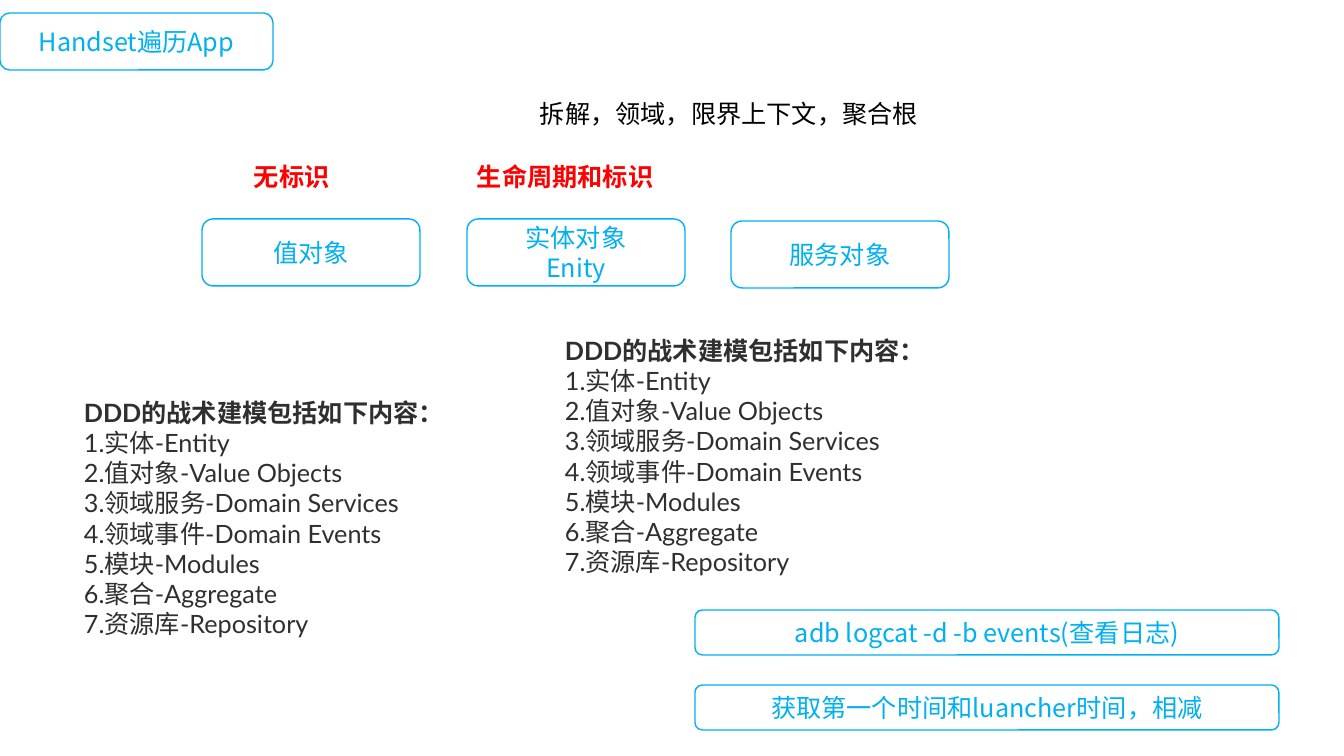
from dataclasses import dataclass
import pptx
import pptx.util
import pptx.dml.color
import pptx.enum.shapes
import pptx.enum.text
import pptx.oxml.ns
import lxml.etree

SCALE = 914400 / 100.8
Align = pptx.enum.text.PP_ALIGN
Anchor = pptx.enum.text.MSO_ANCHOR
Fit = pptx.enum.text.MSO_AUTO_SIZE


@dataclass(frozen=True)
class Theme:
    blue: str = "00B0F0"
    white: str = "FFFFFF"
    red: str = "FF0000"
    black: str = "000000"
    gray: str = "2F2F2F"
    size: int = 18
    line: int = 1
    box: str = "Noto Sans CJK SC"
    label: str = "DejaVu Sans"
    list: str = "Lato"


@dataclass(frozen=True)
class Box:
    left: int
    top: int
    width: int
    height: int
    lines: tuple[str, ...]


@dataclass(frozen=True)
class Label:
    left: int
    top: int
    width: int
    text: str
    color: str
    bold: bool


@dataclass(frozen=True)
class Place:
    left: int
    top: int


THEME = Theme()
BOXES = (
    Box(0, 13, 273, 57, ("Handset遍历App",)),
    Box(202, 219, 218, 67, ("值对象",)),
    Box(467, 219, 218, 67, ("实体对象", "Enity")),
    Box(731, 221, 218, 67, ("服务对象",)),
    Box(695, 610, 584, 45, ("adb logcat -d -b events(查看日志)",)),
    Box(695, 685, 584, 45, ("获取第一个时间和luancher时间，相减",)),
)
LABELS = (
    Label(467, 156, 199, "生命周期和标识", THEME.red, True),
    Label(244, 156, 97, "无标识", THEME.red, True),
    Label(530, 93, 402, "拆解，领域，限界上下文，聚合根", THEME.black, False),
)
TITLE = "DDD的战术建模包括如下内容："
ITEMS = (
    "实体-Entity",
    "值对象-Value Objects",
    "领域服务-Domain Services",
    "领域事件-Domain Events",
    "模块-Modules",
    "聚合-Aggregate",
    "资源库-Repository",
)
LISTS = (Place(74, 392), Place(555, 330))


def px(value: int) -> int:
    return round(value * SCALE)


def rgb(color: str) -> pptx.dml.color.RGBColor:
    return pptx.dml.color.RGBColor.from_string(color)


def write(para, text: str, *, font: str, color: str, bold: bool = False,
          align=Align.LEFT, number: bool = False) -> None:
    para.alignment = align
    run = para.add_run()
    run.text = text
    run.font.name = font
    run.font.size = pptx.util.Pt(THEME.size)
    run.font.bold = bold
    run.font.color.rgb = rgb(color)
    tag = pptx.oxml.ns.qn
    east = lxml.etree.SubElement(run.font._element, tag("a:ea"))
    east.set("typeface", font)
    if number:
        props = para._p.get_or_add_pPr()
        props.set("marL", "0")
        props.set("indent", "0")
        lxml.etree.SubElement(props, tag("a:buFont")).set("typeface", "+mj-lt")
        mark = lxml.etree.SubElement(props, tag("a:buAutoNum"))
        mark.set("type", "arabicPeriod")


def draw_box(slide, box: Box) -> None:
    shape = slide.shapes.add_shape(
        pptx.enum.shapes.MSO_SHAPE.ROUNDED_RECTANGLE,
        px(box.left), px(box.top), px(box.width), px(box.height))
    shape.shadow.inherit = False
    shape.fill.solid()
    shape.fill.fore_color.rgb = rgb(THEME.white)
    shape.line.color.rgb = rgb(THEME.blue)
    shape.line.width = pptx.util.Pt(THEME.line)
    frame = shape.text_frame
    frame.word_wrap = True
    frame.vertical_anchor = Anchor.MIDDLE
    for order, text in enumerate(box.lines):
        para = frame.add_paragraph() if order else frame.paragraphs[0]
        write(para, text, font=THEME.box, color=THEME.blue, align=Align.CENTER)


def add_frame(slide, left: int, top: int, width: int, height: int, wrap: bool):
    frame = slide.shapes.add_textbox(
        px(left), px(top), px(width), px(height)).text_frame
    frame.word_wrap = wrap
    frame.auto_size = Fit.SHAPE_TO_FIT_TEXT
    return frame


def draw_label(slide, label: Label) -> None:
    frame = add_frame(slide, label.left, label.top, label.width, 40, False)
    write(frame.paragraphs[0], label.text, font=THEME.label,
          color=label.color, bold=label.bold)


def draw_list(slide, place: Place) -> None:
    frame = add_frame(slide, place.left, place.top, 672, 254, True)
    write(frame.paragraphs[0], TITLE, font=THEME.list, color=THEME.gray, bold=True)
    for item in ITEMS:
        write(frame.add_paragraph(), item, font=THEME.list,
              color=THEME.gray, number=True)


def main() -> None:
    deck = pptx.Presentation()
    deck.slide_width = px(1344)
    deck.slide_height = px(756)
    slide = deck.slides.add_slide(deck.slide_layouts[6])
    for box in BOXES:
        draw_box(slide, box)
    for label in LABELS:
        draw_label(slide, label)
    for place in LISTS:
        draw_list(slide, place)
    deck.save("out.pptx")


if __name__ == "__main__":
    main()
